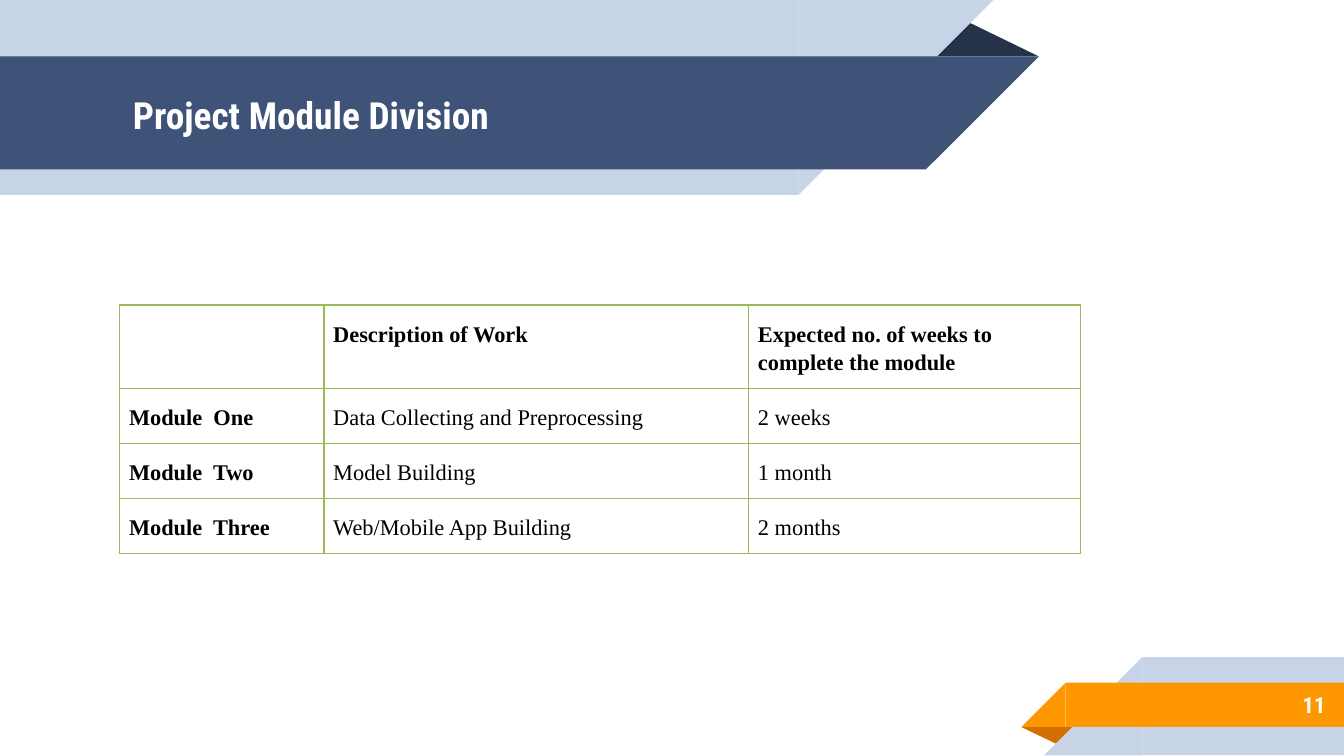
from typing import NamedTuple

from lxml.etree import SubElement
from pptx import Presentation
from pptx.dml.color import RGBColor
from pptx.enum.shapes import MSO_SHAPE
from pptx.enum.text import MSO_ANCHOR, PP_ALIGN
from pptx.oxml.ns import qn
from pptx.util import Inches, Pt

SLIDE_WIDTH = 10
SLIDE_HEIGHT = SLIDE_WIDTH * 9 / 16
HEADING_FONT = "Roboto Condensed"
TABLE_FONT = "Times New Roman"
WHITE, BLACK, GREEN = "FFFFFF", "000000", "9BBB59"
NAVY, PALE_BLUE, DARK_NAVY = "3F5378", "C7D3E6", "263248"
ORANGE, DARK_ORANGE = "FF9800", "D26F00"


class Band(NamedTuple):
    """A bar running off one slide edge, with a 45-degree end at slant_left."""
    bar_left: float
    bar_width: float
    slant_left: float
    top: float
    height: float
    color: str
    rotation: int


class Fold(NamedTuple):
    left: float
    top: float
    width: float
    height: float
    color: str
    rotation: int


HEADER_FOLD = Fold(6.88, 0.14, 0.85, 0.28, DARK_NAVY, 0)
HEADER_BANDS = [
    Band(0, 5.94, 5.94, 0, 1.45, PALE_BLUE, 180),
    Band(0, 6.89, 6.89, 0.42, 0.84, NAVY, 180),
]
FOOTER_FOLD = Fold(7.6, 5.41, 0.43, 0.14, DARK_ORANGE, 180)
FOOTER_BANDS = [
    Band(8.5, 1.5, 7.77, 4.89, 0.73, PALE_BLUE, 0),
    Band(7.93, 2.08, 7.6, 5.08, 0.33, ORANGE, 0),
]

COLUMN_WIDTHS = [1.52, 3.16, 2.47]
ROW_HEIGHTS = [0.62, 0.41, 0.41, 0.41]
MODULES = [
    ("", "Description of Work", "Expected no. of weeks to complete the module"),
    ("Module  One", "Data Collecting and Preprocessing", "2 weeks"),
    ("Module  Two", "Model Building", "1 month"),
    ("Module  Three", "Web/Mobile App Building", "2 months"),
]


def rgb(color: str) -> RGBColor:
    return RGBColor.from_string(color)


def write(frame, text: str, *, size: float, font: str, color: str,
          bold: bool = True, align=PP_ALIGN.LEFT, spacing: float = 1.0) -> None:
    frame.word_wrap = True
    paragraph = frame.paragraphs[0]
    paragraph.alignment = align
    paragraph.line_spacing = spacing
    run = paragraph.add_run()
    run.text = text
    run.font.size = Pt(size)
    run.font.name = font
    run.font.bold = bold
    run.font.color.rgb = rgb(color)


def add_filled(slide, kind, left: float, top: float, width: float,
               height: float, color: str, rotation: int = 0):
    shape = slide.shapes.add_shape(
        kind, Inches(left), Inches(top), Inches(width), Inches(height))
    shape.shadow.inherit = False
    shape.fill.solid()
    shape.fill.fore_color.rgb = rgb(color)
    shape.line.fill.background()
    shape.rotation = rotation
    return shape


def add_ribbon(slide, fold: Fold, bands: list[Band]) -> None:
    crease = add_filled(slide, MSO_SHAPE.ISOSCELES_TRIANGLE, *fold)
    crease.adjustments[0] = 0.324
    for band in bands:
        add_filled(slide, MSO_SHAPE.RECTANGLE, band.bar_left, band.top,
                   band.bar_width, band.height, band.color)
        slant = add_filled(slide, MSO_SHAPE.RIGHT_TRIANGLE, band.slant_left,
                           band.top, band.height, band.height, band.color,
                           band.rotation)
        slant.element.spPr.xfrm.set("flipH", "1")


def add_label(slide, text: str, left: float, top: float, width: float,
              height: float, size: float, align=PP_ALIGN.LEFT) -> None:
    frame = slide.shapes.add_textbox(
        Inches(left), Inches(top), Inches(width), Inches(height)).text_frame
    frame.margin_left = frame.margin_right = Inches(0.1)
    frame.margin_top = frame.margin_bottom = Inches(0.1)
    frame.vertical_anchor = MSO_ANCHOR.MIDDLE
    write(frame, text, size=size, font=HEADING_FONT, color=WHITE, align=align)


def style_cell(cell) -> None:
    """Set the margins, green borders and white fill of a cell."""
    cell.margin_left = cell.margin_right = Inches(0.07)
    cell.margin_top, cell.margin_bottom = Inches(0.1), Inches(0.06)
    properties = cell._tc.get_or_add_tcPr()
    for side in ("a:lnL", "a:lnR", "a:lnT", "a:lnB"):
        border = SubElement(properties, qn(side), w=str(Pt(1)))
        fill = SubElement(border, qn("a:solidFill"))
        SubElement(fill, qn("a:srgbClr"), val=GREEN)
    cell.fill.solid()
    cell.fill.fore_color.rgb = rgb(WHITE)


def add_module_table(slide) -> None:
    table = slide.shapes.add_table(
        len(ROW_HEIGHTS), len(COLUMN_WIDTHS), Inches(0.89), Inches(2.27),
        Inches(sum(COLUMN_WIDTHS)), Inches(sum(ROW_HEIGHTS))).table
    table.horz_banding = False
    for column, width in zip(table.columns, COLUMN_WIDTHS):
        column.width = Inches(width)
    for row, height in zip(table.rows, ROW_HEIGHTS):
        row.height = Inches(height)
    for r, module in enumerate(MODULES):
        for c, text in enumerate(module):
            cell = table.cell(r, c)
            style_cell(cell)
            if text:
                write(cell.text_frame, text, size=12, font=TABLE_FONT,
                      color=BLACK, bold=r == 0 or c == 0, spacing=1.15)


def main() -> None:
    presentation = Presentation()
    presentation.slide_width = Inches(SLIDE_WIDTH)
    presentation.slide_height = Inches(SLIDE_HEIGHT)
    slide = presentation.slides.add_slide(presentation.slide_layouts[6])
    add_ribbon(slide, HEADER_FOLD, HEADER_BANDS)
    add_ribbon(slide, FOOTER_FOLD, FOOTER_BANDS)
    add_label(slide, "Project Module Division", 0.89, 0.43, 5.75, 0.84, 20)
    add_label(slide, "11", 8.33, 5.07, 1.63, 0.35, 12, PP_ALIGN.RIGHT)
    add_module_table(slide)
    presentation.save("out.pptx")


if __name__ == "__main__":
    main()
